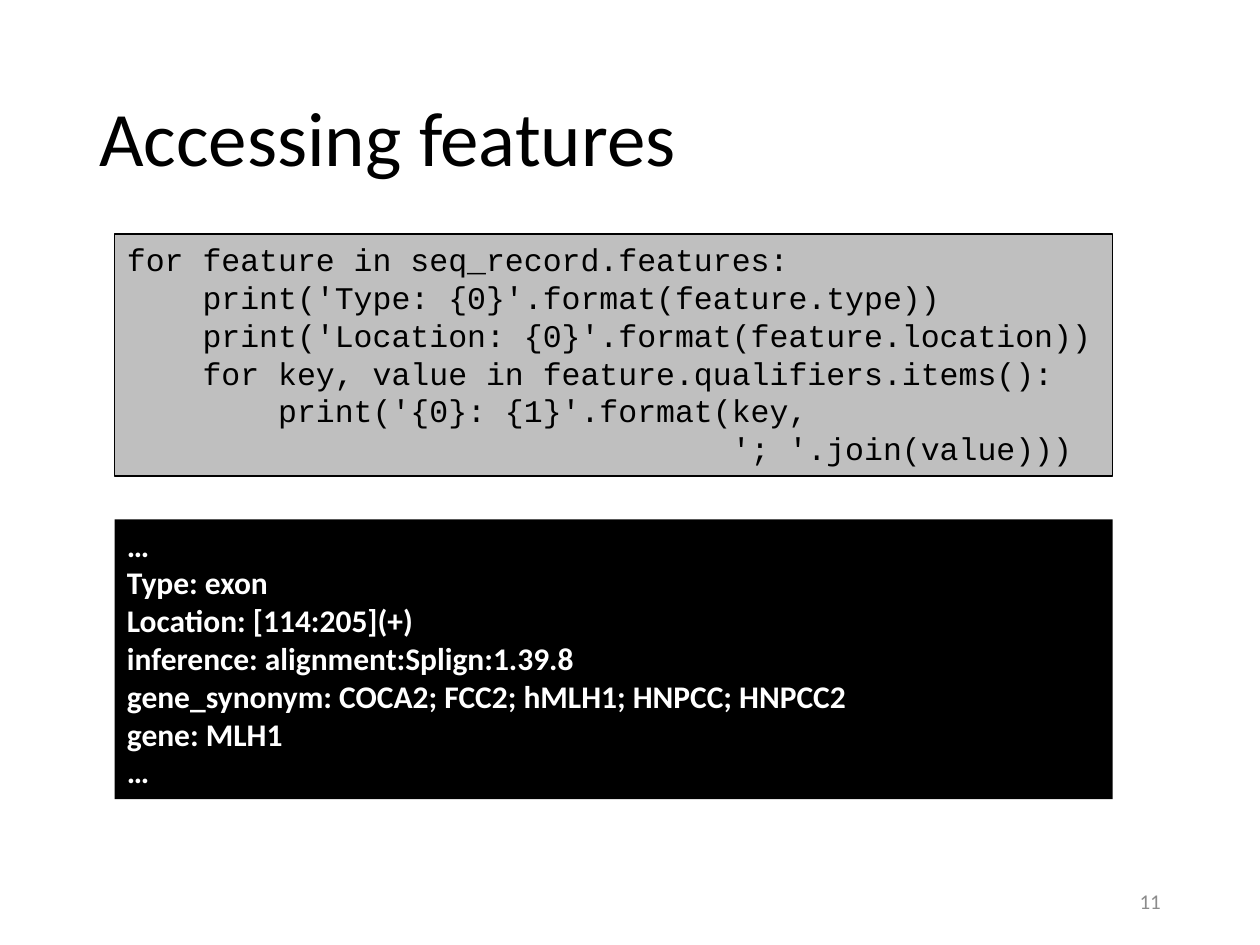
from dataclasses import dataclass
from typing import Optional

from pptx import Presentation
from pptx.dml.color import RGBColor
from pptx.enum.shapes import MSO_SHAPE
from pptx.enum.text import MSO_ANCHOR, PP_ALIGN
from pptx.util import Cm, Pt

RECT = MSO_SHAPE.RECTANGLE
TOP, MIDDLE = MSO_ANCHOR.TOP, MSO_ANCHOR.MIDDLE
LEFT, RIGHT = PP_ALIGN.LEFT, PP_ALIGN.RIGHT


@dataclass(frozen=True)
class Theme:
    body_font: str = "Calibri"
    code_font: str = "Courier New"
    black: str = "000000"
    white: str = "FFFFFF"
    code_fill: str = "BFBFBF"
    muted: str = "8C8C8C"
    title_size: int = 44
    panel_size: int = 18
    number_size: int = 12


@dataclass(frozen=True)
class Panel:
    top: float
    height: float
    text: str
    font: str
    color: str
    fill: str
    line: Optional[str] = None
    bold: bool = False


THEME = Theme()
PANEL_LEFT, PANEL_WIDTH = 2.31, 20.12

CODE = """for feature in seq_record.features:
    print('Type: {0}'.format(feature.type))
    print('Location: {0}'.format(feature.location))
    for key, value in feature.qualifiers.items():
        print('{0}: {1}'.format(key,
                                '; '.join(value)))"""

OUTPUT = """…
Type: exon
Location: [114:205](+)
inference: alignment:Splign:1.39.8
gene_synonym: COCA2; FCC2; hMLH1; HNPCC; HNPCC2
gene: MLH1
…"""

PANELS = [
    Panel(4.72, 4.88, CODE, THEME.code_font, THEME.black, THEME.code_fill,
          line=THEME.black),
    Panel(10.47, 5.64, OUTPUT, THEME.body_font, THEME.white, THEME.black,
          bold=True),
]


def write(tf, text: str, font: str, size: int, color: str, bold: bool = False,
          align=LEFT, anchor=TOP) -> None:
    """Fill a text frame with one paragraph per line of text."""
    tf.word_wrap = True
    tf.vertical_anchor = anchor
    tf.text = text
    for p in tf.paragraphs:
        p.alignment = align
        p.font.name = font
        p.font.size = Pt(size)
        p.font.bold = bold
        p.font.color.rgb = RGBColor.from_string(color)


def add_panel(s, panel: Panel) -> None:
    """Draw a filled box of left-aligned lines."""
    sp = s.shapes.add_shape(RECT, Cm(PANEL_LEFT), Cm(panel.top),
                            Cm(PANEL_WIDTH), Cm(panel.height))
    sp.shadow.inherit = False
    sp.fill.solid()
    sp.fill.fore_color.rgb = RGBColor.from_string(panel.fill)
    if panel.line:
        sp.line.color.rgb = RGBColor.from_string(panel.line)
        sp.line.width = Pt(0.75)
    else:
        sp.line.fill.background()
    write(sp.text_frame, panel.text, panel.font, THEME.panel_size,
          panel.color, panel.bold)


def main() -> None:
    prs = Presentation()
    prs.slide_width, prs.slide_height = Cm(25.4), Cm(19.05)
    s = prs.slides.add_slide(prs.slide_layouts[5])

    # Title
    title = s.shapes.title
    title.left, title.top = Cm(1.75), Cm(1.02)
    title.width, title.height = Cm(21.9), Cm(3.68)
    write(title.text_frame, "Accessing features", THEME.body_font,
          THEME.title_size, THEME.black, anchor=MIDDLE)
    title.text_frame.paragraphs[0].line_spacing = 0.9

    # Slide number
    number = s.shapes.add_textbox(Cm(17.93), Cm(17.65), Cm(5.72), Cm(1.02))
    write(number.text_frame, "11", THEME.body_font, THEME.number_size,
          THEME.muted, align=RIGHT, anchor=MIDDLE)

    # Code and its output
    for panel in PANELS:
        add_panel(s, panel)

    prs.save("out.pptx")


if __name__ == "__main__":
    main()
